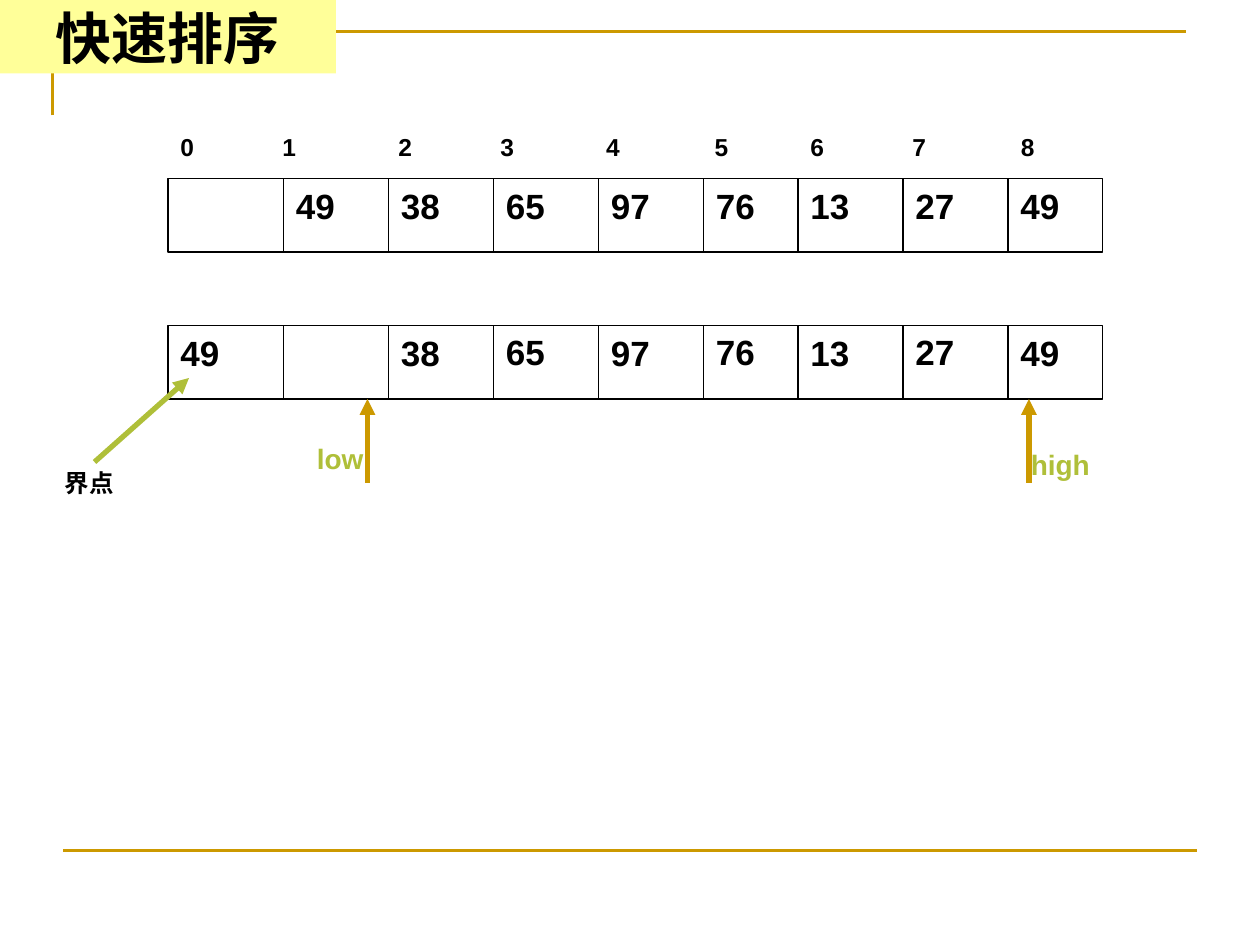
from lxml.etree import SubElement
from pptx import Presentation
from pptx.dml.color import RGBColor
from pptx.enum.shapes import MSO_CONNECTOR, MSO_SHAPE
from pptx.enum.text import MSO_ANCHOR, MSO_AUTO_SIZE, PP_ALIGN
from pptx.oxml.ns import qn
from pptx.util import Inches, Pt

COLORS = {
    "black": "000000",
    "white": "FFFFFF",
    "gold": "CC9900",
    "green": "AFBF39",
    "yellow": "FFFF99",
}

# All lengths are counted in grid steps of a twelfth of an inch
STEPS_PER_INCH = 12
CELL_EDGES = [16, 27, 37, 47, 57, 67, 76, 86, 96, 105]
ROW_HEIGHT = 7
START_ROW, PIVOT_ROW = 17, 31

START_VALUES = ["", "49", "38", "65", "97", "76", "13", "27", "49"]
PIVOT_VALUES = ["49", "", "38", "65", "97", "76", "13", "27", "49"]
RAISED_VALUES = {"65", "76", "27"}
INDEX_TABS = [0.81, 1.73, 2.54, 3.38, 4.24, 5.0, 5.81, 6.67]


def grid(steps):
    return Inches(steps / STEPS_PER_INCH)


def color(name):
    return RGBColor.from_string(COLORS[name])


def format_runs(paragraph, size, color_name="black", font_name="Arial"):
    for run in paragraph.runs:
        run.font.size = Pt(size)
        run.font.bold = True
        run.font.name = font_name
        run.font.color.rgb = color(color_name)


def add_label(slide, text, left, top, width, size, color_name="black", tabs=()):
    height = Inches(0.1) + Pt(size * 1.2)
    box = slide.shapes.add_textbox(grid(left), grid(top), grid(width), height)
    box.text_frame.word_wrap = True
    paragraph = box.text_frame.paragraphs[0]
    paragraph.text = text
    if tabs:
        properties = paragraph._p.get_or_add_pPr()
        tab_list = SubElement(properties, qn("a:tabLst"))
        for position in tabs:
            SubElement(tab_list, qn("a:tab"), pos=str(Inches(position)), algn="l")
    format_runs(paragraph, size, color_name)


def add_line(slide, start, end, color_name, width, arrow=False):
    line = slide.shapes.add_connector(
        MSO_CONNECTOR.STRAIGHT, *map(grid, start), *map(grid, end))
    line.line.color.rgb = color(color_name)
    line.line.width = Pt(width)
    if arrow:
        SubElement(line.line._get_or_add_ln(), qn("a:tailEnd"), type="triangle")
    SubElement(line.element.spPr, qn("a:effectLst"))


def add_frame(slide):
    builder = slide.shapes.build_freeform(grid(5), grid(11))
    builder.add_line_segments(
        [(grid(5), grid(3)), (grid(113), grid(3))], close=False)
    corner = builder.convert_to_shape()
    corner.shadow.inherit = False
    corner.fill.background()
    corner.line.color.rgb = color("gold")
    corner.line.width = Pt(1.5)
    add_line(slide, (6, 81), (114, 81), "gold", 1.5)


def add_array(slide, values, top, raised=()):
    left, right = CELL_EDGES[0], CELL_EDGES[-1]
    outline = slide.shapes.add_shape(
        MSO_SHAPE.RECTANGLE, grid(left), grid(top),
        grid(right - left), grid(ROW_HEIGHT))
    outline.shadow.inherit = False
    outline.fill.solid()
    outline.fill.fore_color.rgb = color("white")
    outline.line.color.rgb = color("black")
    outline.line.width = Pt(0.75)
    for edge in CELL_EDGES[1:-1]:
        add_line(slide, (edge, top), (edge, top + ROW_HEIGHT), "black", 0.75)
    for value, edge in zip(values, CELL_EDGES):
        if value:
            text_top = top - 0.15 if value in raised else top
            add_label(slide, value, edge, text_top, 8, 20)


def add_pointer(slide, name, arrow_left, label_left, label_top):
    array_bottom = PIVOT_ROW + ROW_HEIGHT
    add_line(slide, (arrow_left, array_bottom + 8), (arrow_left, array_bottom),
             "gold", 3, arrow=True)
    add_label(slide, name, label_left, label_top, 11, 16, "green")


def format_title(slide, text):
    title = slide.shapes.title
    title.left, title.top = 0, 0
    title.width, title.height = grid(32), grid(7)
    title.fill.solid()
    title.fill.fore_color.rgb = color("yellow")
    frame = title.text_frame
    frame.text = text
    frame.auto_size = MSO_AUTO_SIZE.NONE
    frame.vertical_anchor = MSO_ANCHOR.MIDDLE
    frame.paragraphs[0].alignment = PP_ALIGN.CENTER
    format_runs(frame.paragraphs[0], 32, font_name="Times New Roman")
    # The title covers the start of the frame line
    slide.shapes.element.append(title.element)


def main():
    presentation = Presentation()
    presentation.slide_width = Inches(10)
    presentation.slide_height = Inches(7.5)
    slide = presentation.slides.add_slide(presentation.slide_layouts[5])

    add_frame(slide)

    # Indexes and the two states of the array
    add_label(slide, "\t".join(str(index) for index in range(9)),
              CELL_EDGES[0], 12, 89, 14, tabs=INDEX_TABS)
    add_array(slide, START_VALUES, START_ROW)
    add_array(slide, PIVOT_VALUES, PIVOT_ROW, RAISED_VALUES)

    # Search pointers
    add_pointer(slide, "high", 98, 97, 42)
    add_pointer(slide, "low", 35, 29, 41.5)

    # Pivot
    add_label(slide, "界点", 5, 44, 10, 14)
    add_line(slide, (9, 44), (18, 36), "green", 3, arrow=True)

    format_title(slide, "快速排序")
    presentation.save("out.pptx")


if __name__ == "__main__":
    main()
